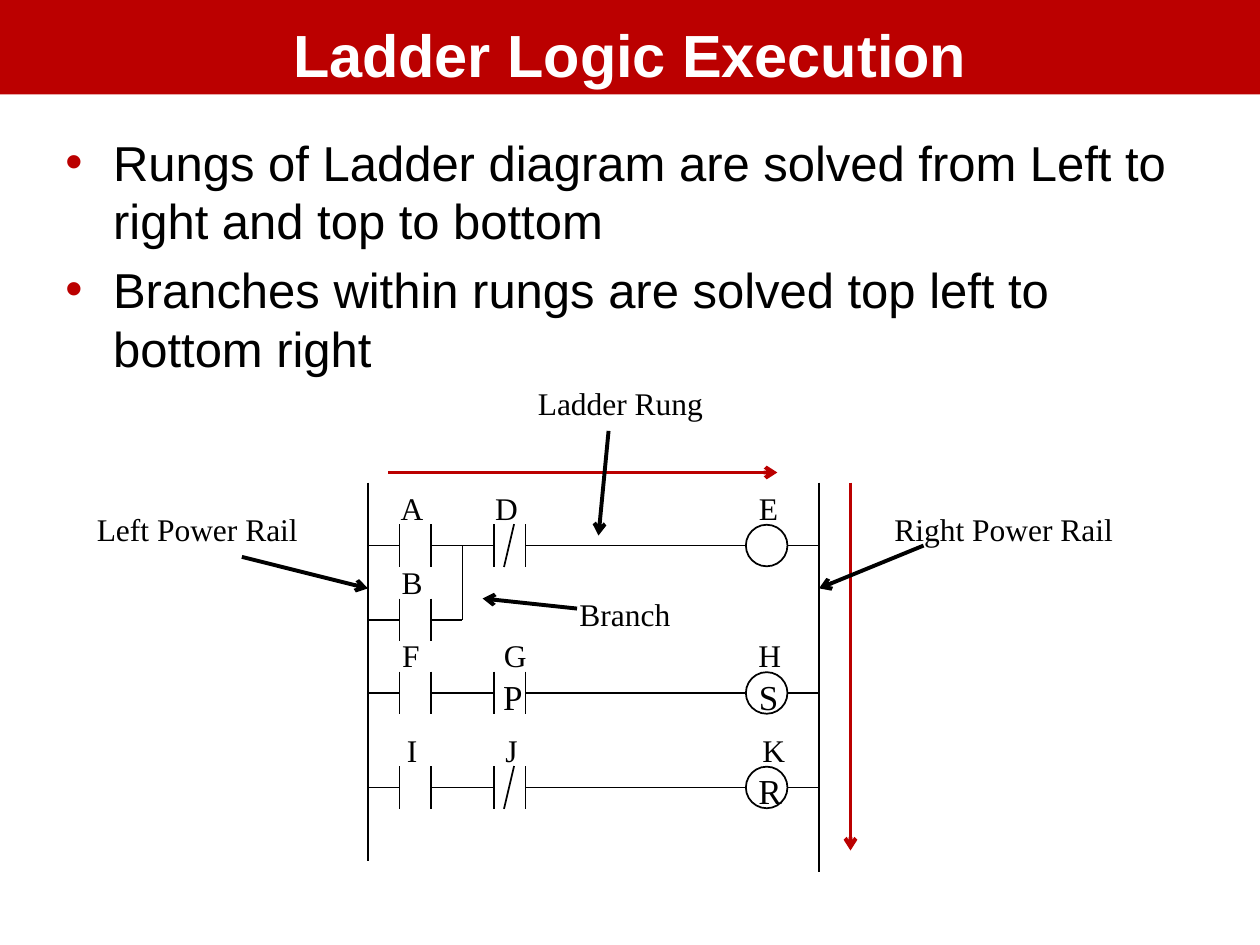
from dataclasses import dataclass

from lxml.etree import SubElement
from pptx import Presentation
from pptx.dml.color import RGBColor
from pptx.enum.shapes import MSO_CONNECTOR, MSO_SHAPE
from pptx.enum.text import MSO_ANCHOR, PP_ALIGN
from pptx.oxml.ns import qn
from pptx.util import Inches, Pt


@dataclass(frozen=True)
class Theme:
    red: str = "BB0000"
    black: str = "000000"
    white: str = "FFFFFF"
    sans: str = "Arial"
    serif: str = "Times New Roman"
    title: float = 34
    body: float = 28
    mark: float = 20
    label: float = 18
    thin: float = 1
    thick: float = 2.25


@dataclass(frozen=True)
class Item:
    x: float  # left bar of a contact or left edge of a coil
    name: str
    mid: float  # centre of the name
    kind: str = "open"
    mark: str = ""
    spot: float = 0  # centre of the mark


@dataclass(frozen=True)
class Rung:
    y: float
    items: tuple[Item, ...]
    wire: bool = True


@dataclass(frozen=True)
class Note:
    words: str
    at: tuple[float, float, float, float]
    start: tuple[float, float]
    end: tuple[float, float]


T = Theme()
LEFT, RIGHT = 2.92, 6.5
COL1, COL2, COIL = 3.17, 3.92, 5.92
GAP, LEAD, HALF, SIZE = 0.25, 0.25, 0.17, 0.33

RUNGS = (
    Rung(4.33, (Item(COL1, "A", 3.27), Item(COL2, "D", 4.02, "closed"),
                Item(COIL, "E", 6.1, "coil"))),
    Rung(4.92, (Item(COL1, "B", 3.27),), wire=False),
    Rung(5.5, (Item(COL1, "F", 3.26), Item(COL2, "G", 4.09, mark="P", spot=4.07),
               Item(COIL, "H", 6.11, "coil", "S", 6.1))),
    Rung(6.25, (Item(COL1, "I", 3.27), Item(COL2, "J", 4.06, "closed"),
                Item(COIL, "K", 6.14, "coil", "R", 6.11))),
)
NOTES = (
    Note("Left Power Rail", (0.67, 4, 1.8, 0.4), (1.92, 4.42), (LEFT, 4.67)),
    Note("Branch", (4.5, 4.67, 0.92, 0.4), (4.58, 4.83), (3.83, 4.75)),
    Note("Right Power Rail", (7, 4, 1.94, 0.4), (7.33, 4.33), (RIGHT, 4.67)),
    Note("Ladder Rung", (4.17, 3, 1.51, 0.4), (4.83, 3.42), (4.75, 4.25)),
)
POINTS = (
    "Rungs of Ladder diagram are solved from Left to right and top to bottom",
    "Branches within rungs are solved top left to bottom right",
)

deck = Presentation()
deck.slide_width, deck.slide_height = Inches(10), Inches(7.5)
slide = deck.slides.add_slide(deck.slide_layouts[6])


def text(words: str | tuple[str, ...], at: tuple, *, font: str = T.serif,
         size: float = T.label, color: str = T.black, bold: bool = False,
         align: PP_ALIGN = PP_ALIGN.LEFT, fill: str = "", wrap: bool = False,
         top: float = 0.05, space: float = 1, bullet: str = "") -> None:
    box = slide.shapes.add_textbox(*map(Inches, at))
    if fill:
        box.fill.solid()
        box.fill.fore_color.rgb = RGBColor.from_string(fill)
    frame = box.text_frame
    frame.word_wrap = wrap
    frame.vertical_anchor = MSO_ANCHOR.TOP
    frame.margin_top = Inches(top)
    lines = (words,) if isinstance(words, str) else words
    for i, line in enumerate(lines):
        para = frame.paragraphs[0] if i == 0 else frame.add_paragraph()
        para.alignment, para.line_spacing = align, space
        run = para.add_run()
        run.text = line
        run.font.name, run.font.size, run.font.bold = font, Pt(size), bold
        run.font.color.rgb = RGBColor.from_string(color)
        if bullet:
            para.space_before = Pt(0.2 * size)
            props = para._p.get_or_add_pPr()
            props.set("marL", str(Inches(0.38)))
            props.set("indent", str(Inches(-0.38)))
            tint = SubElement(props, qn("a:buClr"))
            SubElement(tint, qn("a:srgbClr"), val=bullet)
            SubElement(props, qn("a:buFont"), typeface=T.sans)
            SubElement(props, qn("a:buChar"), char="•")


def line(start: tuple[float, float], end: tuple[float, float],
         color: str = T.black, width: float = T.thin, arrow: bool = False) -> None:
    link = slide.shapes.add_connector(
        MSO_CONNECTOR.STRAIGHT, *map(Inches, (*start, *end)))
    link.line.color.rgb = RGBColor.from_string(color)
    link.line.width = Pt(width)
    props = link._element.spPr
    if arrow:
        SubElement(props.find(qn("a:ln")), qn("a:tailEnd"), type="arrow")
    SubElement(props, qn("a:effectLst"))


def draw(item: Item, y: float) -> None:
    wide = GAP
    if item.kind == "coil":
        wide = SIZE
        ring = slide.shapes.add_shape(
            MSO_SHAPE.OVAL, *map(Inches, (item.x, y - SIZE / 2, SIZE, SIZE)))
        ring.shadow.inherit = False
        ring.fill.background()
        ring.line.color.rgb = RGBColor.from_string(T.black)
        ring.line.width = Pt(T.thin)
    else:
        for x in (item.x, item.x + GAP):
            line((x, y - HALF), (x, y + HALF))
        if item.kind == "closed":
            line((item.x + 0.08, y + HALF), (item.x + 0.16, y - HALF))
    # Leads on both sides
    line((item.x - LEAD, y), (item.x, y))
    line((item.x + wide, y), (item.x + wide + LEAD, y))
    # Name above and mark inside
    text(item.name, (item.mid - 0.19, y - 0.5, 0.38, 0.4), align=PP_ALIGN.CENTER)
    if item.mark:
        text(item.mark, (item.spot - 0.19, y - 0.19, 0.38, 0.43),
             size=T.mark, align=PP_ALIGN.CENTER)


# Title and bullets
text("Ladder Logic Execution", (0, 0, 10, 0.75), font=T.sans, size=T.title,
     color=T.white, bold=True, align=PP_ALIGN.CENTER, fill=T.red, wrap=True,
     top=0.25, space=0.8)
text(POINTS, (0.42, 1, 9.17, 2), font=T.sans, size=T.body, wrap=True, bullet=T.red)

# Power rails
line((LEFT, 3.83), (LEFT, 6.83))
line((RIGHT, 3.83), (RIGHT, 6.92))

# Rungs and the branch joint
for rung in RUNGS:
    for item in rung.items:
        draw(item, rung.y)
    if rung.wire:
        line((COL2 + GAP + LEAD, rung.y), (COIL - LEAD, rung.y))
line((3.67, RUNGS[1].y), (3.67, RUNGS[0].y))

# Order of solving
line((3.08, 3.75), (6.17, 3.75), T.red, T.thick, True)
line((6.75, 3.83), (6.75, 6.75), T.red, T.thick, True)

# Callouts
for note in NOTES:
    text(note.words, note.at)
    line(note.start, note.end, T.black, T.thick, True)

deck.save("out.pptx")
